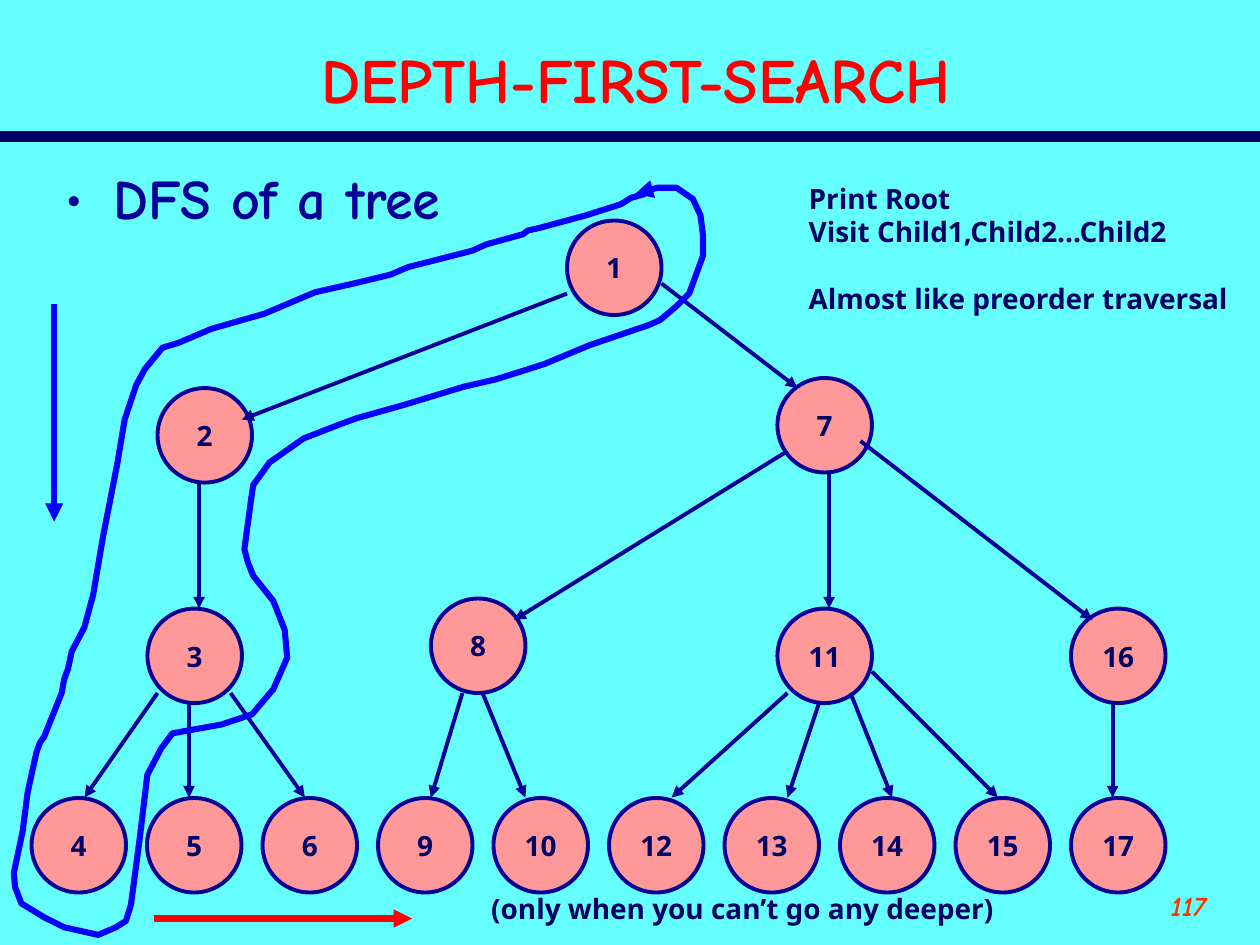
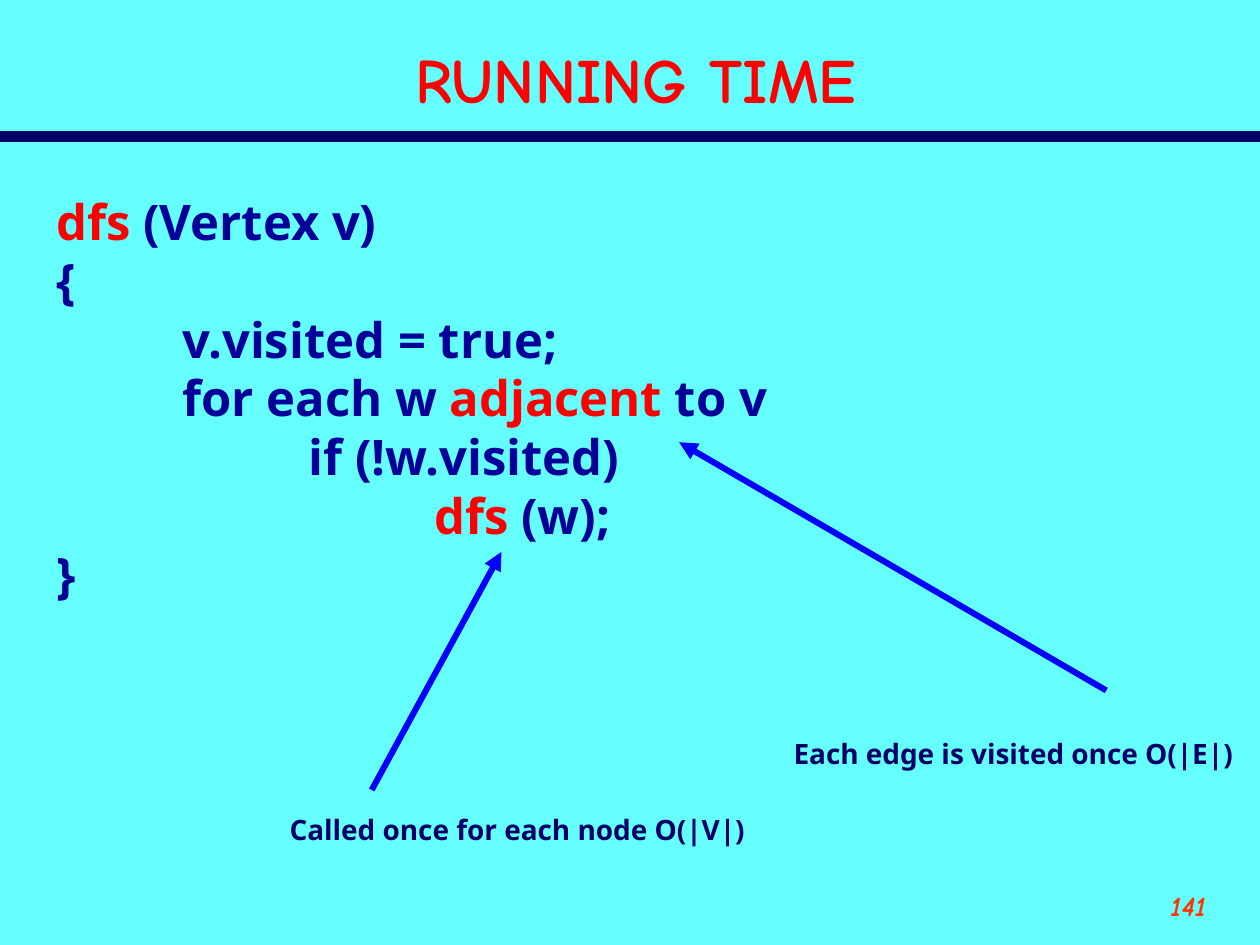
from dataclasses import dataclass

from lxml.etree import SubElement
from pptx import Presentation
from pptx.dml.color import RGBColor
from pptx.enum.shapes import MSO_CONNECTOR, MSO_SHAPE
from pptx.enum.text import MSO_ANCHOR, MSO_AUTO_SIZE, PP_ALIGN
from pptx.oxml.ns import qn
from pptx.util import Inches, Pt


@dataclass(frozen=True)
class Theme:
    background: str = "66FFFF"
    navy: str = "000066"
    ink: str = "000099"
    red: str = "FF0000"
    number: str = "FF3300"
    blue: str = "0000FF"
    node: str = "FF9999"
    display: str = "Comic Neue"
    body: str = "Noto Sans"
    title_size: int = 36
    bullet_size: int = 32
    code_size: int = 28
    note_size: int = 16
    rule_width: float = 6
    edge_width: float = 2.25
    pointer_width: float = 3.5


THEME = Theme()
RULE_TOP = 13 / 12

# Tree slide
NODE_SIZE = 0.75
LEAF_LEFT, LEAF_TOP, LEAF_PITCH = 0.25, 19 / 3, 11 / 12
LEAVES = ["4", "5", "6", "9", "10", "12", "13", "14", "15", "17"]
INNER_NODES = {
    "1": (4.5, 1.75),
    "2": (1.25, 3.08),
    "7": (6.17, 3),
    "3": (1.17, 4.83),
    "8": (3.42, 4.75),
    "11": (6.17, 4.83),
    "16": (8.5, 4.83),
}
EDGES = [
    ((4.5, 2.33), (1.92, 3.33)),
    ((5.25, 2.25), (6.33, 3.08)),
    ((1.58, 3.83), (1.58, 4.83)),
    ((6.25, 3.58), (4.08, 4.92)),
    ((6.58, 3.75), (6.58, 4.83)),
    ((6.83, 3.5), (8.67, 4.92)),
    ((1.25, 5.5), (0.67, 6.33)),
    ((1.5, 5.58), (1.5, 6.33)),
    ((1.83, 5.5), (2.42, 6.33)),
    ((3.67, 5.5), (3.42, 6.33)),
    ((3.83, 5.5), (4.17, 6.33)),
    ((6.25, 5.5), (5.33, 6.33)),
    ((6.5, 5.58), (6.25, 6.33)),
    ((6.75, 5.5), (7.08, 6.33)),
    ((6.92, 5.33), (7.92, 6.33)),
    ((8.83, 5.58), (8.83, 6.33)),
]
TRAVERSAL = [
    (5.12, 1.54), (5.01, 1.57), (4.93, 1.62), (4.87, 1.64), (4.65, 1.71),
    (4.28, 1.81), (4.19, 1.83), (4.15, 1.86), (3.86, 1.94), (3.75, 1.99),
    (3.24, 2.12), (3.1, 2.18), (2.81, 2.25), (2.5, 2.32), (2.1, 2.49),
    (1.68, 2.61), (1.42, 2.72), (1.29, 2.76), (1.15, 2.93), (1.08, 3.06),
    (0.99, 3.33), (0.93, 3.69), (0.82, 4.25), (0.74, 4.72), (0.67, 4.98),
    (0.57, 5.17), (0.54, 5.31), (0.51, 5.39), (0.49, 5.5), (0.35, 5.85),
    (0.32, 5.89), (0.29, 5.97), (0.22, 6.29), (0.18, 6.6), (0.11, 6.93),
    (0.12, 7.04), (0.17, 7.17), (0.35, 7.28), (0.51, 7.36), (0.78, 7.42),
    (0.92, 7.36), (1, 7.31), (1.04, 7.18), (1.11, 6.65), (1.17, 6.15),
    (1.28, 5.94), (1.37, 5.82), (1.76, 5.75), (2, 5.67), (2.17, 5.47),
    (2.28, 5.22), (2.26, 5), (2.17, 4.77), (2.01, 4.57), (1.97, 4.47),
    (1.94, 4.36), (1.99, 3.99), (2.01, 3.85), (2.14, 3.67), (2.41, 3.48),
    (2.72, 3.36), (2.83, 3.32), (3.22, 3.21), (3.68, 3.07), (3.94, 3.01),
    (4.32, 2.89), (4.68, 2.74), (5.15, 2.58), (5.24, 2.54), (5.37, 2.43),
    (5.47, 2.33), (5.58, 2.03), (5.58, 1.87), (5.56, 1.71), (5.5, 1.58),
    (5.37, 1.49), (5.22, 1.49), (5.04, 1.54),
]
DEEPER_ARROW = ((0.43, 2.41), (0.43, 4.14))
ACROSS_ARROW = ((1.22, 7.29), (3.27, 7.29))
DEEPER_NOTE = "(only when you can’t go any deeper)"
VISIT_STEPS = ["Print Root", "Visit Child1,Child2...Child2"]
VISIT_REMARK = "Almost like preorder traversal"

# Running time slide: each code line is a list of (text, highlighted)
CODE = [
    [("dfs ", True), ("(Vertex v)", False)],
    [("{", False)],
    [("\tv.visited = true;", False)],
    [("\tfor each w ", False), ("adjacent", True), (" to v", False)],
    [("\t\tif (!w.visited)", False)],
    [("\t\t\t", False), ("dfs", True), (" (w);", False)],
    [("}", False)],
]
COSTS = [
    ("Called once for each node O(|V|)", (2.2, 6.4, 3.84, 0.37),
     ((2.95, 6.27), (3.98, 4.38))),
    ("Each edge is visited once O(|E|)", (6.2, 5.8, 3.7, 0.37),
     ((8.78, 5.48), (5.39, 3.51))),
]


def color(value):
    return RGBColor.from_string(value)


def style_font(font, size, fill, name=THEME.body, italic=None):
    font.size, font.name, font.bold, font.italic = Pt(size), name, True, italic
    font.color.rgb = color(fill)


def style_line(shape, fill, width, arrow=True):
    """Colour an outline, optionally ending it with an arrowhead."""
    shape.line.color.rgb = color(fill)
    shape.line.width = Pt(width)
    if arrow:
        outline = shape._element.spPr.find(qn("a:ln"))
        SubElement(outline, qn("a:tailEnd"), type="triangle")


def add_line(page, ends, fill, width, arrow=True):
    (x1, y1), (x2, y2) = ends
    line = page.shapes.add_connector(
        MSO_CONNECTOR.STRAIGHT, Inches(x1), Inches(y1), Inches(x2), Inches(y2))
    style_line(line, fill, width, arrow)
    SubElement(line._element.spPr, qn("a:effectLst"))


def add_box(page, place, wrap=True, grow=False):
    box = page.shapes.add_textbox(*map(Inches, place))
    frame = box.text_frame
    frame.word_wrap = wrap
    frame.auto_size = MSO_AUTO_SIZE.SHAPE_TO_FIT_TEXT if grow else MSO_AUTO_SIZE.NONE
    return frame


def add_note(page, place, lines):
    frame = add_box(page, place, wrap=False, grow=True)
    frame.text = "\n".join(lines)
    for para in frame.paragraphs:
        style_font(para.font, THEME.note_size, THEME.navy)
    return frame


def add_page(deck, title, number):
    """Add a slide with the shared title, rule and page number."""
    page = deck.slides.add_slide(deck.slide_layouts[5])
    add_line(page, ((0, RULE_TOP), (10, RULE_TOP)), THEME.navy, THEME.rule_width,
             arrow=False)

    heading = page.shapes.title
    heading.left, heading.top, heading.width, heading.height = map(
        Inches, (0.42, 0.25, 9.25, 0.75))
    frame = heading.text_frame
    frame.text = title
    frame.auto_size = MSO_AUTO_SIZE.NONE
    frame.vertical_anchor = MSO_ANCHOR.MIDDLE
    para = frame.paragraphs[0]
    para.alignment = PP_ALIGN.CENTER
    style_font(para.font, THEME.title_size, THEME.red, THEME.display)

    para = add_box(page, (8.67, 7, 1, 0.5)).paragraphs[0]
    para.text = number
    para.alignment = PP_ALIGN.RIGHT
    style_font(para.font, THEME.note_size, THEME.number, THEME.display, italic=True)
    return page


def add_bullet(page, place, text):
    para = add_box(page, place).paragraphs[0]
    para.text = text
    properties = para._p.get_or_add_pPr()
    properties.set("marL", str(Inches(0.38)))
    properties.set("indent", str(Inches(-0.38)))
    bullet_color = SubElement(properties, qn("a:buClr"))
    SubElement(bullet_color, qn("a:srgbClr"), val=THEME.ink)
    SubElement(properties, qn("a:buFont"), typeface=THEME.display)
    SubElement(properties, qn("a:buChar"), char="•")
    style_font(para.font, THEME.bullet_size, THEME.ink, THEME.display)


def add_node(page, label, left, top):
    node = page.shapes.add_shape(
        MSO_SHAPE.OVAL, *map(Inches, (left, top, NODE_SIZE, NODE_SIZE)))
    node.shadow.inherit = False
    node.fill.solid()
    node.fill.fore_color.rgb = color(THEME.node)
    style_line(node, THEME.ink, THEME.edge_width, arrow=False)
    frame = node.text_frame
    frame.word_wrap = False
    frame.vertical_anchor = MSO_ANCHOR.MIDDLE
    para = frame.paragraphs[0]
    para.text = label
    para.alignment = PP_ALIGN.CENTER
    style_font(para.font, THEME.note_size, THEME.navy)


def add_traversal(page):
    start, *rest = [(Inches(x), Inches(y)) for x, y in TRAVERSAL]
    builder = page.shapes.build_freeform(*start)
    builder.add_line_segments(rest, close=False)
    outline = builder.convert_to_shape()
    outline.shadow.inherit = False
    outline.fill.background()
    style_line(outline, THEME.blue, THEME.pointer_width)


def build_tree_page(deck):
    page = add_page(deck, "DEPTH-FIRST-SEARCH", "117")
    add_bullet(page, (0.42, 1.25, 9.25, 5.92), "DFS of a tree")
    leaves = {label: (LEAF_LEFT + column * LEAF_PITCH, LEAF_TOP)
              for column, label in enumerate(LEAVES)}
    for label, (left, top) in (leaves | INNER_NODES).items():
        add_node(page, label, left, top)
    for ends in EDGES:
        add_line(page, ends, THEME.ink, THEME.edge_width)
    add_traversal(page)
    add_line(page, DEEPER_ARROW, THEME.blue, THEME.pointer_width)
    add_line(page, ACROSS_ARROW, THEME.red, THEME.pointer_width)
    add_note(page, (3.8, 7.03, 4.19, 0.37), [DEEPER_NOTE])
    steps = add_note(page, (6.32, 1.39, 3.54, 1.17), [*VISIT_STEPS, VISIT_REMARK])
    steps.paragraphs[-1].space_before = Pt(19)


def build_running_time_page(deck):
    page = add_page(deck, "RUNNING TIME", "141")
    frame = add_box(page, (0.35, 1.47, 7.17, 3.37), grow=True)
    for index, spans in enumerate(CODE):
        para = frame.add_paragraph() if index else frame.paragraphs[0]
        tabs = SubElement(para._p.get_or_add_pPr(), qn("a:tabLst"))
        for stop in (1, 2, 3):
            SubElement(tabs, qn("a:tab"), pos=str(Inches(stop)), algn="l")
        style_font(para.font, THEME.code_size, THEME.ink)
        for text, highlighted in spans:
            span = para.add_run()
            span.text = text
            if highlighted:
                span.font.color.rgb = color(THEME.red)
    for text, place, ends in COSTS:
        add_line(page, ends, THEME.blue, THEME.pointer_width)
        add_note(page, place, [text])


def main():
    deck = Presentation()
    deck.slide_width, deck.slide_height = Inches(10), Inches(7.5)
    backdrop = deck.slide_master.background.fill
    backdrop.solid()
    backdrop.fore_color.rgb = color(THEME.background)
    build_tree_page(deck)
    build_running_time_page(deck)
    deck.save("out.pptx")


if __name__ == "__main__":
    main()
